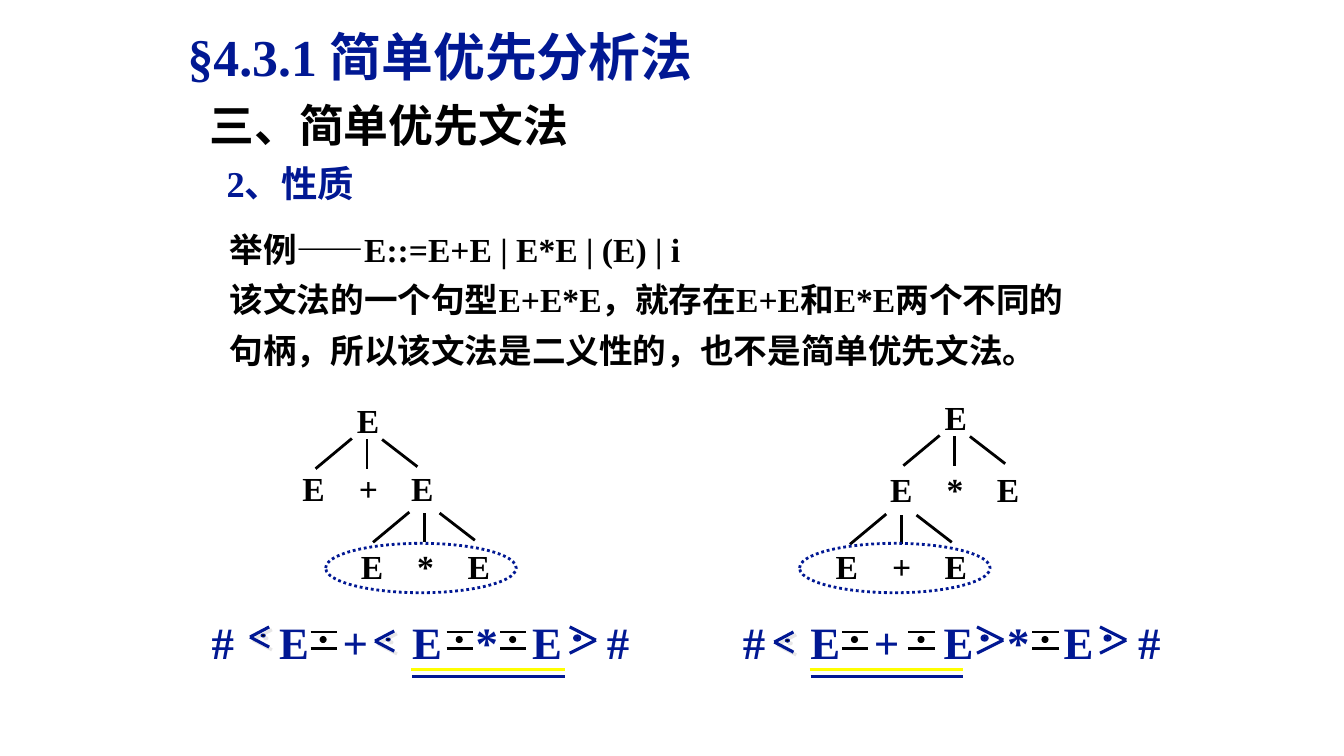
from lxml import etree
from pptx import Presentation
from pptx.dml.color import RGBColor
from pptx.enum.dml import MSO_LINE
from pptx.enum.shapes import MSO_CONNECTOR, MSO_SHAPE
from pptx.enum.text import MSO_ANCHOR, MSO_AUTO_SIZE, PP_ALIGN
from pptx.oxml.ns import qn
from pptx.util import Pt

PX = 9144  # 100 px to the inch
BLUE = RGBColor(0x01, 0x18, 0x93)
BLACK = RGBColor(0, 0, 0)
YELLOW = RGBColor(0xFF, 0xFF, 0)
STRAIGHT = MSO_CONNECTOR.STRAIGHT
OVAL = MSO_SHAPE.OVAL
DOTTED = MSO_LINE.ROUND_DOT
LEFT, JUSTIFY = PP_ALIGN.LEFT, PP_ALIGN.JUSTIFY


def write_text(shape, box, text, size, color, spacing=1.0, align=LEFT, tabs=()):
    shape.left, shape.top, shape.width, shape.height = [v * PX for v in box]
    frame = shape.text_frame
    frame.text = text
    frame.word_wrap = True
    frame.auto_size = MSO_AUTO_SIZE.NONE
    frame.vertical_anchor = MSO_ANCHOR.TOP
    for paragraph in frame.paragraphs:
        paragraph.alignment = align
        paragraph.line_spacing = spacing
        if tabs:
            tab_list = etree.SubElement(paragraph._p.get_or_add_pPr(), qn("a:tabLst"))
            for position in tabs:
                etree.SubElement(tab_list, qn("a:tab"), pos=str(position * PX), algn="l")
        for run in paragraph.runs:
            run.font.name = "Times New Roman"
            run.font.size = Pt(size)
            run.font.bold = True
            run.font.color.rgb = color


def draw_line(shapes, x1, y1, x2, y2, color=BLACK, width=2):
    line = shapes.add_connector(STRAIGHT, x1 * PX, y1 * PX, x2 * PX, y2 * PX)
    line.line.color.rgb = color
    line.line.width = Pt(width)
    etree.SubElement(line._element.spPr, qn("a:effectLst"))


presentation = Presentation()
presentation.slide_width = 1333 * PX
presentation.slide_height = 750 * PX
slide = presentation.slides.add_slide(presentation.slide_layouts[5])
shapes = slide.shapes

# Title, headings and example
write_text(shapes.title, (176, 7, 967, 86), "§4.3.1 简单优先分析法", 37, BLUE, 1.2)
EXAMPLE = """举例——E::=E+E | E*E | (E) | i
该文法的一个句型E+E*E，就存在E+E和E*E两个不同的
句柄，所以该文法是二义性的，也不是简单优先文法。"""
for box, text, size, color, spacing, align in (
    ((198, 65, 377, 90), "三、简单优先文法", 32, BLACK, 1.5, LEFT),
    ((215, 140, 930, 62), "2、性质", 26, BLUE, 1.34, JUSTIFY),
    ((218, 212, 903, 160), EXAMPLE, 24, BLACK, 1.25, JUSTIFY),
):
    write_text(shapes.add_textbox(0, 0, 0, 0), box, text, size, color, spacing, align)

# Syntax tree nodes
for x, y, text, tabs in (
    (344, 392, "E", ()),
    (290, 459, "E\t+\tE", (56, 108)),
    (348, 537, "E\t*\tE", (56, 106)),
    (927, 389, "E", ()),
    (873, 460, "E\t*\tE", (56, 106)),
    (819, 537, "E\t+\tE", (56, 108)),
):
    width = 168 if tabs else 52
    write_text(shapes.add_textbox(0, 0, 0, 0), (x, y, width, 50), text, 24, BLACK, tabs=tabs)

# Syntax tree branches
for x, y in ((364, 435), (421, 508), (947, 432), (894, 510)):
    draw_line(shapes, x - 15, y, x - 51, y + 30)
    draw_line(shapes, x, y + 1, x, y + 30)
    draw_line(shapes, x + 15, y + 1, x + 50, y + 28)

# Dotted rings around the handles
for x in (323, 793):
    ring = shapes.add_shape(OVAL, x * PX, 539 * PX, 189 * PX, 49 * PX)
    ring.shadow.inherit = False
    ring.fill.background()
    ring.line.color.rgb = BLUE
    ring.line.width = Pt(2)
    ring.line.dash_style = DOTTED

# Sentential forms
for x in (200, 727):
    write_text(shapes.add_textbox(0, 0, 0, 0), (x, 605, 466, 63),
               "#\tE\t+\tE\t*\tE\t#", 32, BLUE, tabs=(67, 130, 199, 262, 318, 392))

# Double underlines of the handles
for x in (408, 803):
    draw_line(shapes, x, 664, x + 152, 664, YELLOW)
    draw_line(shapes, x + 1, 671, x + 152, 671, BLUE)

# Precedence relations: strokes and dot relative to an origin
EQUAL = (((0, 0, 26, 0), (0, 16, 26, 16)), (9, 4, 7, 7), BLACK, 2, 0)
LESS = (((19, -10, 0, 0), (0, 0, 19, 10)), (11, -3, 4, 3), BLUE, 2.25, 0.75)
GREATER = (((0, -13, 26, 0), (26, 0, 0, 13)), (5, -4, 5, 4), BLUE, 2.25, 2.25)
for relation, origins in (
    (EQUAL, [(x, 627) for x in (308, 443, 496, 835, 901, 1024)]),
    (LESS, [(248, 632), (372, 636), (768, 637)]),
    (GREATER, [(x, 635) for x in (565, 969, 1091)]),
):
    strokes, (dot_x, dot_y, dot_width, dot_height), color, width, dot_line = relation
    for x, y in origins:
        group = shapes.add_group_shape()
        for x1, y1, x2, y2 in strokes:
            draw_line(group.shapes, x + x1, y + y1, x + x2, y + y2, color, width)
        dot = group.shapes.add_shape(OVAL, (x + dot_x) * PX, (y + dot_y) * PX,
                                     dot_width * PX, dot_height * PX)
        dot.shadow.inherit = False
        dot.fill.solid()
        dot.fill.fore_color.rgb = BLACK
        if dot_line:
            dot.line.color.rgb = color
            dot.line.width = Pt(dot_line)
        else:
            dot.line.fill.background()
        if relation is LESS:  # grey shadow down to the right
            for part in group.shapes:
                effects = part._element.spPr.find(qn("a:effectLst"))
                shadow = etree.SubElement(effects, qn("a:outerShdw"), dist="35921", dir="2700000")
                etree.SubElement(shadow, qn("a:srgbClr"), val="E7E6E6")

presentation.save("out.pptx")
